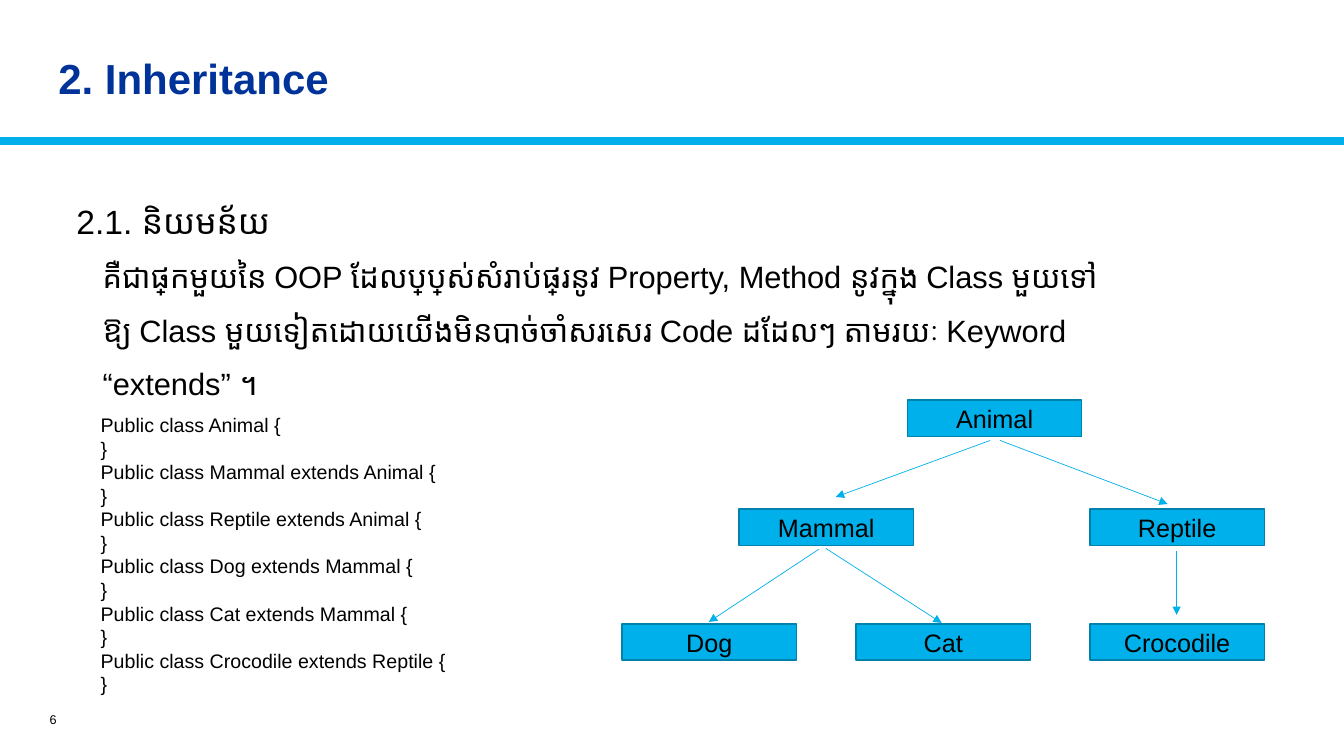
from lxml.etree import SubElement
from pptx import Presentation
from pptx.dml.color import RGBColor
from pptx.enum.shapes import MSO_CONNECTOR, MSO_SHAPE
from pptx.enum.text import MSO_ANCHOR, PP_ALIGN
from pptx.oxml.ns import qn
from pptx.util import Inches, Pt


def color(value):
    return RGBColor.from_string(value)


class Deck:
    font = "Arial"
    black = "000000"
    navy = "003399"
    sky = "00B0EA"
    edge = "0082AD"

    def __init__(self, prs):
        self.s = prs.slides.add_slide(prs.slide_layouts[6])

    def style(self, p, text, size, ink=black, bold=False, align=PP_ALIGN.LEFT):
        p.text = text
        p.alignment = align
        p.font.name = self.font
        p.font.size = Pt(size)
        p.font.bold = bold
        p.font.color.rgb = color(ink)

    def text(self, box, lines, anchor=MSO_ANCHOR.TOP, **look):
        tf = self.s.shapes.add_textbox(*map(Inches, box)).text_frame
        tf.word_wrap = True
        tf.vertical_anchor = anchor
        for i, (line, size, before, indent) in enumerate(lines):
            p = tf.paragraphs[0] if i == 0 else tf.add_paragraph()
            if indent:
                pPr = p._p.get_or_add_pPr()
                pPr.set("marL", str(Inches(indent)))
                pPr.set("indent", "0")
            p.space_before = Pt(before)
            self.style(p, line, size, **look)

    def node(self, name, x, y):
        sp = self.s.shapes.add_shape(
            MSO_SHAPE.RECTANGLE, Inches(x), Inches(y), Inches(1.73), Inches(0.36))
        sp.shadow.inherit = False
        sp.fill.solid()
        sp.fill.fore_color.rgb = color(self.sky)
        sp.line.color.rgb = color(self.edge)
        sp.line.width = Pt(1)
        tf = sp.text_frame
        tf.vertical_anchor = MSO_ANCHOR.MIDDLE
        self.style(tf.paragraphs[0], name, 18, align=PP_ALIGN.CENTER)

    def line(self, ends, width, arrow=False):
        c = self.s.shapes.add_connector(MSO_CONNECTOR.STRAIGHT, *map(Inches, ends))
        c.line.color.rgb = color(self.sky)
        c.line.width = Pt(width)
        if arrow:
            SubElement(c.line._get_or_add_ln(), qn("a:tailEnd"), type="triangle")
        SubElement(c._element.spPr, qn("a:effectLst"))


def main():
    prs = Presentation()
    prs.slide_width, prs.slide_height = Inches(13.33), Inches(7.5)
    deck = Deck(prs)

    deck.line((0, 1.4, 13.33, 1.4), 6)
    deck.text((0.48, 0.36, 9.02, 0.83), [("2. Inheritance", 30, 0, 0)],
              MSO_ANCHOR.MIDDLE, ink=deck.navy, bold=True)

    definition = [
        "គឺជាផ្នែកមួយនៃ OOP ដែលប្រើប្រាស់សំរាប់ផ្ទេរនូវ Property, Method នូវក្នុង Class មួយទៅ",
        "ឱ្យ Class មួយទៀតដោយយើងមិនបាច់ចាំសរសេរ Code ដដែលៗ តាមរយៈ Keyword",
        "“extends” ។",
    ]
    deck.text((0.66, 1.94, 12.05, 2.11),
              [("2.1. និយមន័យ", 24, 0, 0)]
              + [(line, 22, 12, 0.26) for line in definition])
    deck.text((0.09, 6.99, 0.57, 0.3), [("6", 9, 0, 0)],
              MSO_ANCHOR.MIDDLE, align=PP_ALIGN.RIGHT)

    classes = ["Animal", "Mammal extends Animal", "Reptile extends Animal",
               "Dog extends Mammal", "Cat extends Mammal", "Crocodile extends Reptile"]
    code = [line for name in classes for line in (f"Public class {name} {{", "}")]
    deck.text((0.9, 4.05, 4, 2.93), [(line, 14, 0, 0) for line in code])

    tree = [
        (3.97, [("Animal", 9)]),
        (5.05, [("Mammal", 7.33), ("Reptile", 10.81)]),
        (6.19, [("Dog", 6.17), ("Cat", 8.49), ("Crocodile", 10.81)]),
    ]
    for y, row in tree:
        for name, x in row:
            deck.node(name, x, y)

    arrows = [
        (9.82, 4.37, 8.29, 4.93),
        (9.92, 4.37, 11.58, 5),
        (11.67, 5.47, 11.67, 6.1),
        (8.12, 5.45, 7.03, 6.17),
        (8.19, 5.44, 9.34, 6.18),
    ]
    for ends in arrows:
        deck.line(ends, 0.5, arrow=True)

    prs.save("out.pptx")


if __name__ == "__main__":
    main()
